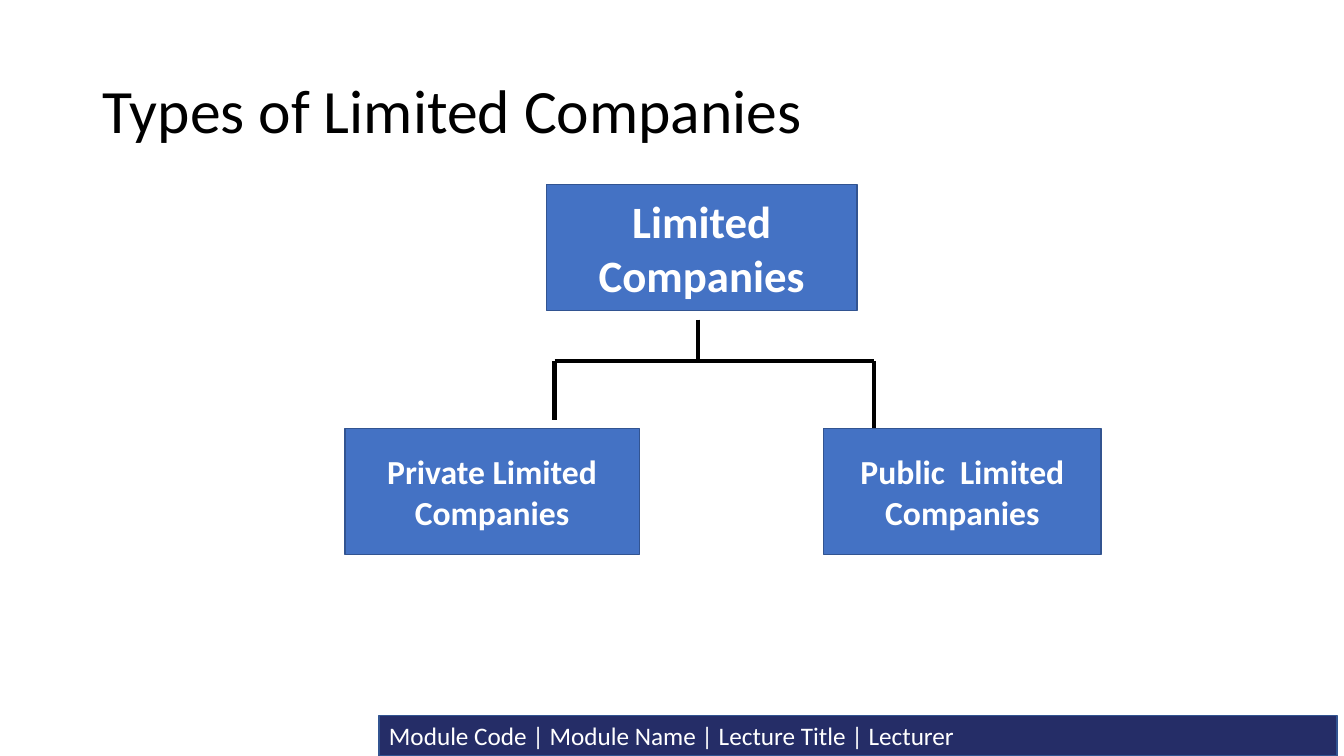
from lxml import etree
from pptx import Presentation
from pptx import util as u
from pptx.dml.color import RGBColor
from pptx.enum import shapes, text
from pptx.oxml import ns

BLACK = RGBColor(0x00, 0x00, 0x00)
WHITE = RGBColor(0xFF, 0xFF, 0xFF)
BLUE = RGBColor(0x44, 0x72, 0xC4)
NAVY = RGBColor(0x25, 0x2D, 0x67)
EDGE = RGBColor(0x32, 0x54, 0x91)
FONT = "Calibri"
LEFT, MID = text.PP_ALIGN.LEFT, text.PP_ALIGN.CENTER

title = "Types of Limited Companies"
footer = "Module Code | Module Name | Lecture Title | Lecturer"
boxes = [
    ("Private Limited Companies", (3.42, 4.25, 2.92, 1.25), 24),
    ("Public  Limited Companies", (8.17, 4.25, 2.75, 1.25), 24),
    ("Limited Companies", (5.42, 1.83, 3.08, 1.25), 32),
]
stem, left, right = 6.92, 5.5, 8.67
top, bar = 3.17, 3.58
lines = [
    (stem, top, stem, bar),
    (left, bar, right, bar),
    (left, bar, left, 4.17),
    (right, bar, right, 4.25),
]


def write(shape, words, size, color, align, bold=False):
    frame = shape.text_frame
    frame.word_wrap = True
    frame.vertical_anchor = text.MSO_ANCHOR.MIDDLE
    para = frame.paragraphs[0]
    para.alignment = align
    run = para.add_run()
    run.text = words
    font = run.font
    font.name, font.size, font.bold = FONT, u.Pt(size), bold
    font.color.rgb = color
    return para


def add_box(slide, place, fill):
    box = slide.shapes.add_shape(shapes.MSO_SHAPE.RECTANGLE, *map(u.Inches, place))
    box.shadow.inherit = False
    box.fill.solid()
    box.fill.fore_color.rgb = fill
    box.line.color.rgb = EDGE
    box.line.width = u.Pt(1)
    return box


def add_line(slide, ends):
    line = slide.shapes.add_connector(shapes.MSO_CONNECTOR.STRAIGHT, *map(u.Inches, ends))
    line.line.color.rgb = BLACK
    line.line.width = u.Pt(3)
    etree.SubElement(line._element.spPr, ns.qn("a:effectLst"))


def main():
    deck = Presentation()
    deck.slide_width, deck.slide_height = u.Inches(13.33), u.Inches(7.5)
    slide = deck.slides.add_slide(deck.slide_layouts[6])

    strip = add_box(slide, (3.76, 7.1, 9.5, 0.4), NAVY)
    write(strip, footer, 18, WHITE, LEFT)

    head = slide.shapes.add_textbox(*map(u.Inches, (0.92, 0.4, 11.5, 1.45)))
    write(head, title, 44, BLACK, LEFT).line_spacing = 0.9

    for words, place, size in boxes:
        write(add_box(slide, place, BLUE), words, size, WHITE, MID, True)
    for ends in lines:
        add_line(slide, ends)

    deck.save("out.pptx")


if __name__ == "__main__":
    main()
